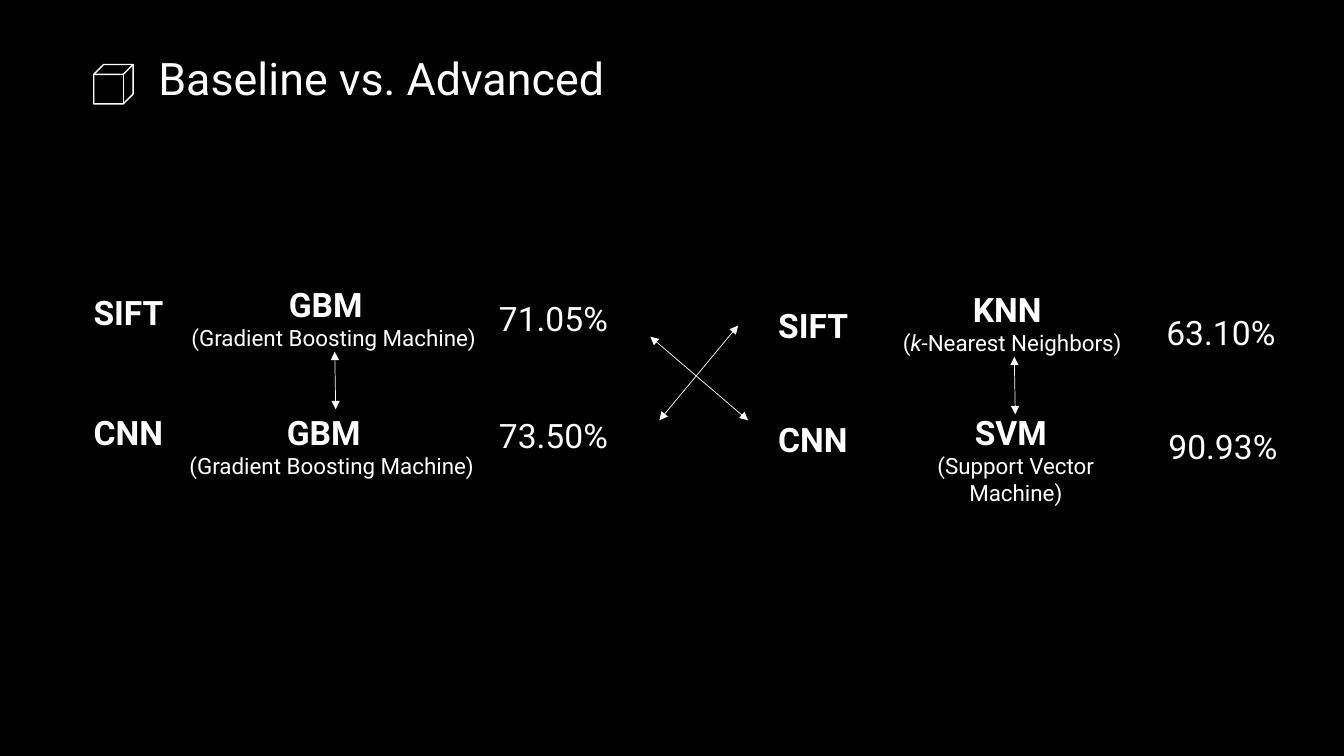
from dataclasses import dataclass

from lxml import etree
from pptx import Presentation
from pptx.dml.color import RGBColor
from pptx.enum.shapes import MSO_CONNECTOR, MSO_SHAPE
from pptx.enum.text import MSO_ANCHOR, MSO_AUTO_SIZE, PP_ALIGN
from pptx.oxml.ns import qn
from pptx.util import Inches, Pt

STRAIGHT = MSO_CONNECTOR.STRAIGHT
CUBE = MSO_SHAPE.CUBE
MIDDLE = MSO_ANCHOR.MIDDLE
NO_FIT = MSO_AUTO_SIZE.NONE
LEFT, CENTER = PP_ALIGN.LEFT, PP_ALIGN.CENTER
TITLE_ONLY = 5


@dataclass(frozen=True)
class Theme:
    """Hold the colours, font and type sizes of the slide."""
    background: RGBColor = RGBColor(0, 0, 0)
    ink: RGBColor = RGBColor(255, 255, 255)
    font: str = "Roboto"
    title: int = 32
    label: int = 24
    caption: int = 16


THEME = Theme()


def style_run(r, size, bold=False, italic=False):
    """Give a run the theme font and colour."""
    r.font.name = THEME.font
    r.font.size = Pt(size)
    r.font.bold = bold
    r.font.italic = italic
    r.font.color.rgb = THEME.ink


def add_title(slide, text):
    """Place and format the title placeholder."""
    sp = slide.shapes.title
    sp.left, sp.top = Inches(1.47), Inches(0.58)
    sp.width, sp.height = Inches(8.32), Inches(0.45)
    tf = sp.text_frame
    tf.text = text
    tf.auto_size = NO_FIT
    tf.vertical_anchor = MIDDLE
    p = tf.paragraphs[0]
    p.alignment = LEFT
    p.line_spacing = 0.9
    style_run(p.runs[0], THEME.title)


def add_cube(slide, x, y, size):
    """Draw the outlined cube beside the title."""
    sp = slide.shapes.add_shape(CUBE, Inches(x), Inches(y), Inches(size), Inches(size))
    sp.shadow.inherit = False
    sp.fill.background()
    sp.line.color.rgb = THEME.ink
    sp.line.width = Pt(1)


def add_text_box(slide, x, y, w, h):
    """Add a wrapping text box and return its text frame."""
    tf = slide.shapes.add_textbox(Inches(x), Inches(y), Inches(w), Inches(h)).text_frame
    tf.word_wrap = True
    return tf


def add_label(slide, text, x, y, bold=False):
    """Add a one-line feature name or accuracy."""
    tf = add_text_box(slide, x, y, 1.4, 0.5)
    tf.text = text
    style_run(tf.paragraphs[0].runs[0], THEME.label, bold)


def center_paragraph(p, indent=0):
    """Centre a paragraph, leaving an indent on its right."""
    p.alignment = CENTER
    pPr = p._p.get_or_add_pPr()
    pPr.set("marL", "0")
    pPr.set("marR", str(Inches(indent)))
    pPr.set("indent", "0")


def add_model(slide, name, caption, x, y, w, indent):
    """Add a model name over its caption, given as (text, italic) parts."""
    tf = add_text_box(slide, x, y, w, 0.77)
    tf.text = name
    p = tf.paragraphs[0]
    center_paragraph(p, indent)
    style_run(p.runs[0], THEME.label, bold=True)
    p = tf.add_paragraph()
    center_paragraph(p)
    for text, italic in caption:
        r = p.add_run()
        r.text = text
        style_run(r, THEME.caption, italic=italic)


def add_double_arrow(slide, x1, y1, x2, y2):
    """Draw a thin line with an arrowhead at each end."""
    line = slide.shapes.add_connector(STRAIGHT, Inches(x1), Inches(y1), Inches(x2), Inches(y2))
    line.line.color.rgb = THEME.ink
    line.line.width = Pt(0.5)
    ln = line.line._get_or_add_ln()
    for end in ("a:headEnd", "a:tailEnd"):
        etree.SubElement(ln, qn(end)).set("type", "triangle")
    etree.SubElement(line._element.spPr, qn("a:effectLst"))


def main():
    """Build the comparison slide and save it."""
    prs = Presentation()
    prs.slide_width, prs.slide_height = Inches(13.33), Inches(7.5)
    slide = prs.slides.add_slide(prs.slide_layouts[TITLE_ONLY])
    slide.background.fill.solid()
    slide.background.fill.fore_color.rgb = THEME.background

    add_title(slide, "Baseline vs. Advanced")
    add_cube(slide, 0.93, 0.64, 0.39)

    for feature, x, y in (("SIFT", 0.83, 2.85), ("CNN", 0.83, 4.04),
                          ("SIFT", 7.62, 2.98), ("CNN", 7.62, 4.11)):
        add_label(slide, feature, x, y, bold=True)

    for accuracy, x, y in (("71.05%", 4.85, 2.91), ("73.50%", 4.85, 4.07),
                           ("63.10%", 11.47, 3.05), ("90.93%", 11.49, 4.18)):
        add_label(slide, accuracy, x, y)

    boosting = [("(Gradient Boosting Machine)", False)]
    neighbors = [("(", False), ("k", True), ("-Nearest Neighbors)", False)]
    vectors = [("(Support Vector Machine)", False)]
    for model in (("GBM", boosting, 1.69, 2.77, 3.24, 0.16),
                  ("GBM", boosting, 1.67, 4.04, 3.24, 0.16),
                  ("KNN", neighbors, 8.78, 2.82, 2.52, 0.1),
                  ("SVM", vectors, 8.73, 4.04, 2.69, 0.1)):
        add_model(slide, *model)

    for ends in ((6.45, 3.34, 7.42, 4.17), (7.32, 3.23, 6.54, 4.17),
                 (3.32, 3.49, 3.33, 4.06), (10.06, 3.54, 10.07, 4.11)):
        add_double_arrow(slide, *ends)

    prs.save("out.pptx")


if __name__ == "__main__":
    main()
